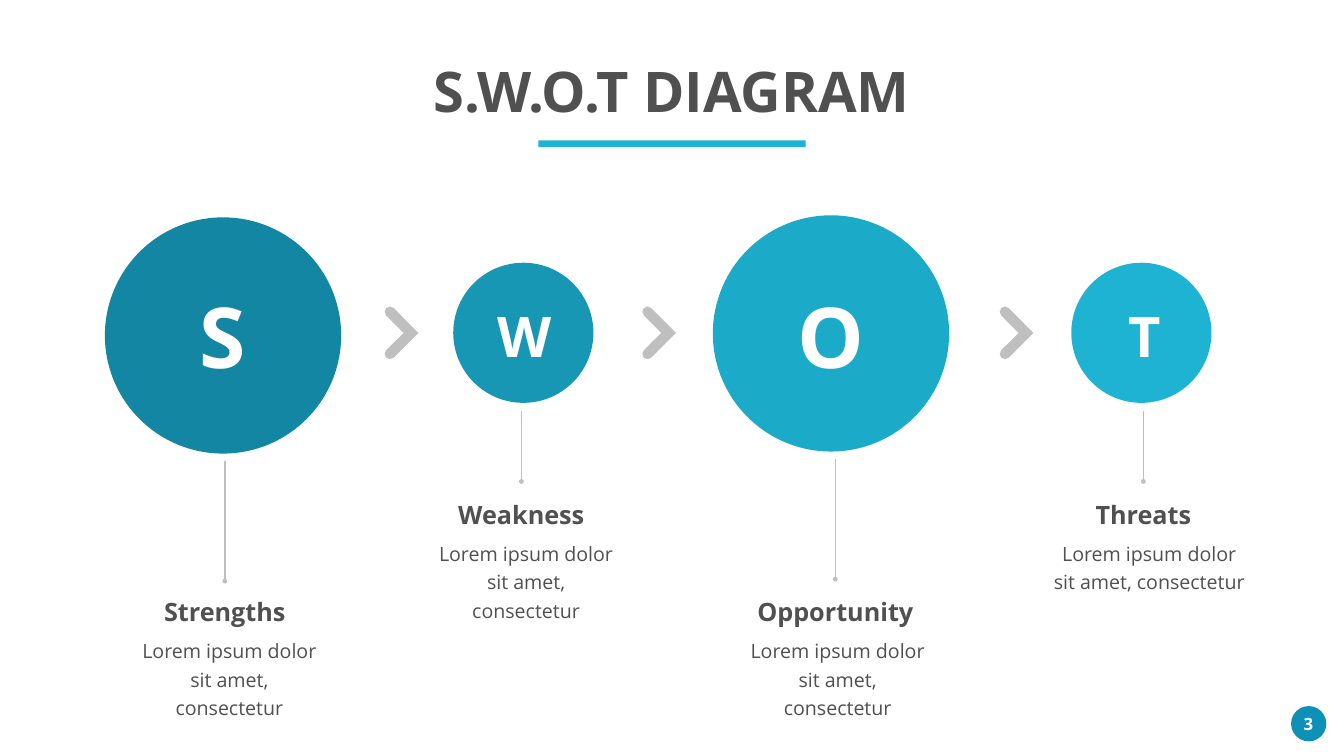
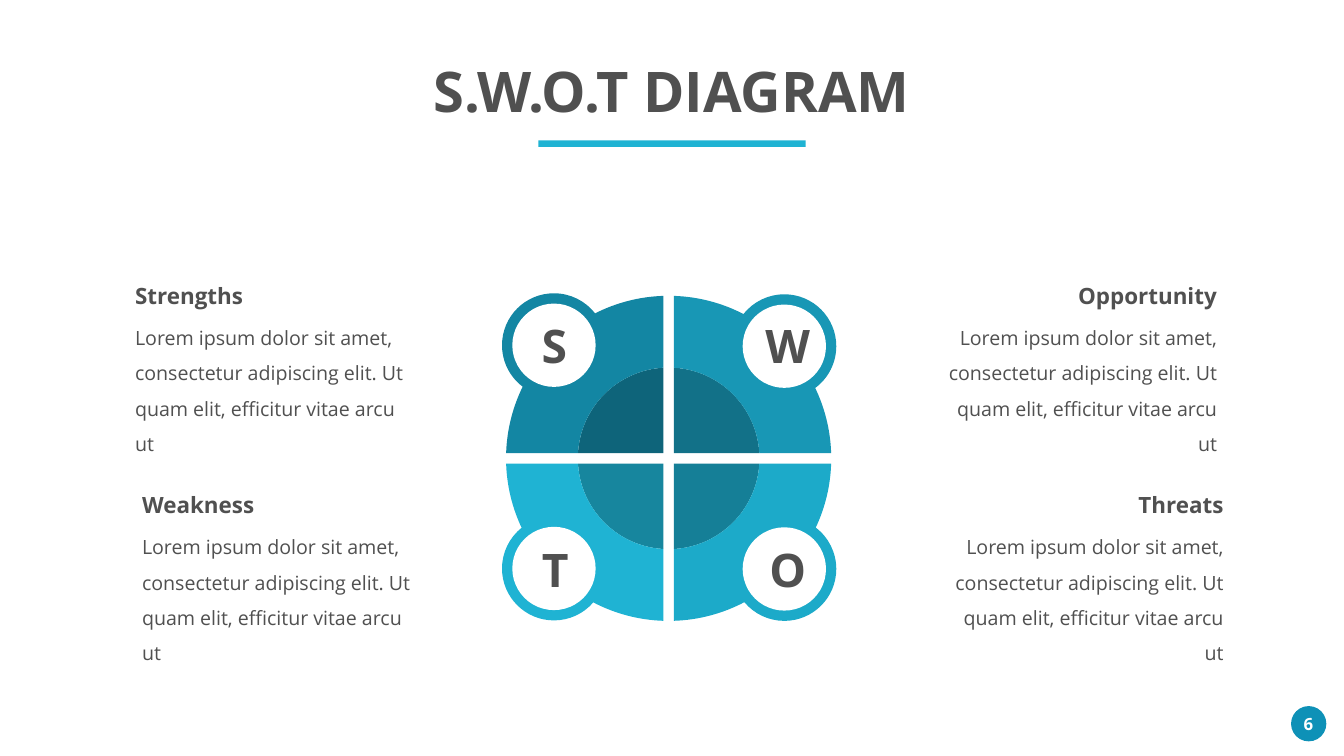
from math import acos, asin, atan2, ceil, cos, degrees, floor, hypot, radians, sin, tan

from lxml import etree
from pptx import Presentation
from pptx import util as u
from pptx.dml.color import RGBColor
from pptx.enum import shapes, text
from pptx.oxml.ns import qn

FONT = "Open Sans"
INK, WHITE, GREY, ACCENT, BADGE = "505050", "FFFFFF", "BFBFBF", "1FB3D3", "0E91B7"
LEFT, CENTER, RIGHT = text.PP_ALIGN.LEFT, text.PP_ALIGN.CENTER, text.PP_ALIGN.RIGHT

STYLES = {
    "title": {"size": 80, "bold": True},
    "badge": {"size": 24, "bold": True, "color": WHITE, "spacing": 300},
    "step heading": {"size": 36, "bold": True},
    "step body": {"size": 28, "line": u.Pt(40.8)},
    "big letter": {"size": 120, "bold": True, "color": WHITE},
    "small letter": {"size": 80, "bold": True, "color": WHITE},
    "wheel letter": {"size": 66, "bold": True, "spacing": 600},
    "note heading": {"size": 32, "bold": True, "align": LEFT, "wrap": False},
    "note body": {"size": 28, "align": LEFT, "line": 1.5},
}

TITLE = "S.W.O.T DIAGRAM"
STEP_TEXT = "Lorem ipsum dolor sit amet, consectetur"
NOTE_TEXT = ("Lorem ipsum dolor sit amet, consectetur adipiscing elit. "
             "Ut quam elit, efficitur vitae arcu ut")

STEP_SIZES = {
    "big": {"diameter": 337.5, "gap": 10.1, "stem": 172.1,
            "letter_top": 403.2, "letter_height": 152.6, "body_top": 902.2},
    "small": {"diameter": 200.2, "gap": 12.2, "stem": 100.1,
              "letter_top": 427, "letter_height": 104.4, "body_top": 763.2},
}
# letter, heading, fill, size, circle left, circle top, letter left, stem x, body left, body width
STEPS = [
    ("S", "Strengths", "1386A3", "big", 149.8, 310.5, 258.7, 321.1, 185, 285.1),
    ("W", "Weakness", "1897B5", "small", 647.3, 375.3, 689, 744.7, 608.4, 285.8),
    ("O", "Opportunity", "1CAAC9", "big", 1018.1, 307.6, 1126.8, 1193, 1057, 278.6),
    ("T", "Threats", "1FB3D3", "small", 1530, 375.3, 1575.4, 1633, 1496.9, 288.7),
]
CHEVRON_LEFTS, CHEVRON_TOP = (549, 917, 1427.4), 437.4

HUB_X, HUB_Y, HALF_GAP = 955, 654.8, 7.6
CORE, RIM, BUBBLE, HOLE = 129.7, 232.2, 74.2, 59.5
# letter, ring fill, core fill, side x, side y, bubble offset x, bubble offset y, letter left, letter top
QUADRANTS = [
    ("S", "1386A3", "0E647A", -1, -1, 163.8, 161.6, 725.8, 450),
    ("W", "1897B5", "127188", 1, -1, 165.2, 160.2, 1059.1, 450),
    ("O", "1CAAC9", "157F97", 1, 1, 165.2, 158, 1059.1, 770.4),
    ("T", "1FB3D3", "17869E", -1, 1, 163.8, 157.3, 727.2, 770.4),
]
NOTE_WIDTH = 415.4
# heading, align, left, top, heading width
NOTES = [
    ("Strengths", LEFT, 185.8, 399.6, 170),
    ("Weakness", LEFT, 195.8, 698.4, 176.4),
    ("Opportunity", RIGHT, 1329.8, 399.6, 214.6),
    ("Threats", RIGHT, 1339.2, 698.4, 136.8),
]


def color(value):
    return RGBColor.from_string(value)


def paint(shape, fill):
    shape.shadow.inherit = False
    shape.fill.solid()
    shape.fill.fore_color.rgb = color(fill)
    shape.line.fill.background()


def add_figure(page, kind, fill, *area):
    shape = page.shapes.add_shape(kind, *map(u.Pt, area))
    paint(shape, fill)


def add_circle(page, fill, left, top, diameter):
    add_figure(page, shapes.MSO_SHAPE.OVAL, fill, left, top, diameter, diameter)


def add_outline(page, segments, fill, left, top, side_x=1, side_y=1):
    start, *rest = [(u.Pt(left + side_x * x), u.Pt(top + side_y * y))
                    for segment in segments for x, y in segment]
    builder = page.shapes.build_freeform(*start, scale=1.0)
    builder.add_line_segments(rest, close=True)
    shape = builder.convert_to_shape()
    lines = iter(list(shape._element.iter(qn("a:lnTo"))))
    for segment in segments[1:]:
        first, *others = [next(lines) for _ in segment]
        if others:
            first.tag = qn("a:cubicBezTo")
        for line in others:
            first.append(line[0])
            line.getparent().remove(line)
    paint(shape, fill)


def add_text(page, words, style, *area, **changes):
    form = {"bold": False, "color": INK, "align": CENTER, "wrap": True,
            **STYLES[style], **changes}
    box = page.shapes.add_textbox(*map(u.Pt, area))
    box.text_frame.word_wrap = form["wrap"]
    box.text_frame.auto_size = text.MSO_AUTO_SIZE.SHAPE_TO_FIT_TEXT
    para = box.text_frame.paragraphs[0]
    para.alignment = form["align"]
    para.line_spacing = form.get("line")
    span = para.add_run()
    span.text = words
    for name, value in {"name": FONT, "size": u.Pt(form["size"]), "bold": form["bold"]}.items():
        setattr(span.font, name, value)
    span.font.color.rgb = color(form["color"])
    if "spacing" in form:
        span.font._element.set("spc", str(form["spacing"]))


def add_stem(page, x, top, bottom):
    stem = page.shapes.add_connector(
        shapes.MSO_CONNECTOR.STRAIGHT, *map(u.Pt, (x, top, x, bottom)))
    stem.line.width = u.Pt(2.25)
    stem.line.color.rgb = color(GREY)
    etree.SubElement(stem.line._get_or_add_ln(), qn("a:tailEnd"), type="oval")
    etree.SubElement(stem._element.spPr, qn("a:effectLst"))


def arc(x, y, radius, start, end):
    low, high = sorted((start, end))
    turns = range(floor(low / 90) + 1, ceil(high / 90))
    stops = sorted([low, high, *(90 * turn for turn in turns)], reverse=start > end)
    angles = [radians(stop) for stop in stops]
    segments = [[(x + radius * cos(angles[0]), y + radius * sin(angles[0]))]]
    for a, b in zip(angles, angles[1:]):
        pull = 4 / 3 * tan((b - a) / 4)
        segments.append([(x + radius * (cos(t) + k * sin(t)), y + radius * (sin(t) - k * cos(t)))
                         for t, k in ((a, -pull), (b, pull), (b, 0))])
    return segments


def chevron_outline():
    return [[(27.4, 38.3)], *arc(7.9, 68.2, 7.5, 225, 45),
            [(48.5, 38.3)], *arc(7.9, 8, 7.5, 315, 135)]


def core_outline():
    edge = degrees(asin(HALF_GAP / CORE))
    return [[(HALF_GAP, HALF_GAP)], *arc(0, 0, CORE, edge, 90 - edge)]


def ring_outline(offset_x, offset_y):
    reach = hypot(offset_x, offset_y)
    heading = degrees(atan2(offset_y, offset_x))
    rim_turn = degrees(acos((reach**2 + RIM**2 - BUBBLE**2) / (2 * reach * RIM)))
    bubble_turn = degrees(acos((reach**2 + BUBBLE**2 - RIM**2) / (2 * reach * BUBBLE)))
    rim_edge, core_edge = (degrees(asin(HALF_GAP / radius)) for radius in (RIM, CORE))
    bubble = arc(offset_x, offset_y, BUBBLE,
                 heading - 180 + bubble_turn, heading + 180 - bubble_turn)
    return [*arc(0, 0, RIM, rim_edge, heading - rim_turn), *bubble[1:],
            *arc(0, 0, RIM, heading + rim_turn, 90 - rim_edge)[1:],
            *arc(0, 0, CORE, 90 - core_edge, core_edge)]


def add_page(deck, number):
    page = deck.slides.add_slide(deck.slide_layouts[6])
    page.background.fill.solid()
    page.background.fill.fore_color.rgb = color(WHITE)
    add_circle(page, BADGE, 1843.9, 1008.7, 50.4)
    add_text(page, number, "badge", 1840.3, 1015.9, 56.9, 36)
    add_figure(page, shapes.MSO_SHAPE.RECTANGLE, ACCENT, 769, 200.5, 381.6, 9.4)
    add_text(page, TITLE, "title", 566.3, 77.8, 787, 104.4)
    return page


def build_chain(deck):
    page = add_page(deck, "3")
    for left in CHEVRON_LEFTS:
        add_outline(page, chevron_outline(), GREY, left, CHEVRON_TOP)
    for letter, heading, fill, size, left, top, letter_left, stem_x, body_left, width in STEPS:
        form = STEP_SIZES[size]
        add_circle(page, fill, left, top, form["diameter"])
        stem_top = top + form["diameter"] + form["gap"]
        add_stem(page, stem_x, stem_top, stem_top + form["stem"])
        add_text(page, letter, f"{size} letter", letter_left, form["letter_top"],
                 119.5, form["letter_height"])
        add_text(page, STEP_TEXT, "step body", body_left, form["body_top"], width, 90)
        add_text(page, heading, "step heading", body_left + 11.5, form["body_top"] - 53.6,
                 249.1, 51.1)


def build_wheel(deck):
    page = add_page(deck, "6")
    for letter, ring, core, side_x, side_y, offset_x, offset_y, left, top in QUADRANTS:
        for outline, fill in ((core_outline(), core), (ring_outline(offset_x, offset_y), ring)):
            add_outline(page, outline, fill, HUB_X, HUB_Y, side_x, side_y)
        add_circle(page, WHITE, HUB_X + side_x * offset_x - HOLE,
                   HUB_Y + side_y * offset_y - HOLE, 2 * HOLE)
        add_text(page, letter, "wheel letter", left, top, 131.8, 87.1)
    for heading, align, left, top, width in NOTES:
        heading_left = left + NOTE_WIDTH - width if align == RIGHT else left
        add_text(page, NOTE_TEXT, "note body", left, top + 45.8, NOTE_WIDTH, 159, align=align)
        add_text(page, heading, "note heading", heading_left, top, width, 46, align=align)


def main():
    deck = Presentation()
    deck.slide_width, deck.slide_height = u.Pt(1919.52), u.Pt(1080)
    build_chain(deck)
    build_wheel(deck)
    deck.save("out.pptx")


if __name__ == "__main__":
    main()
